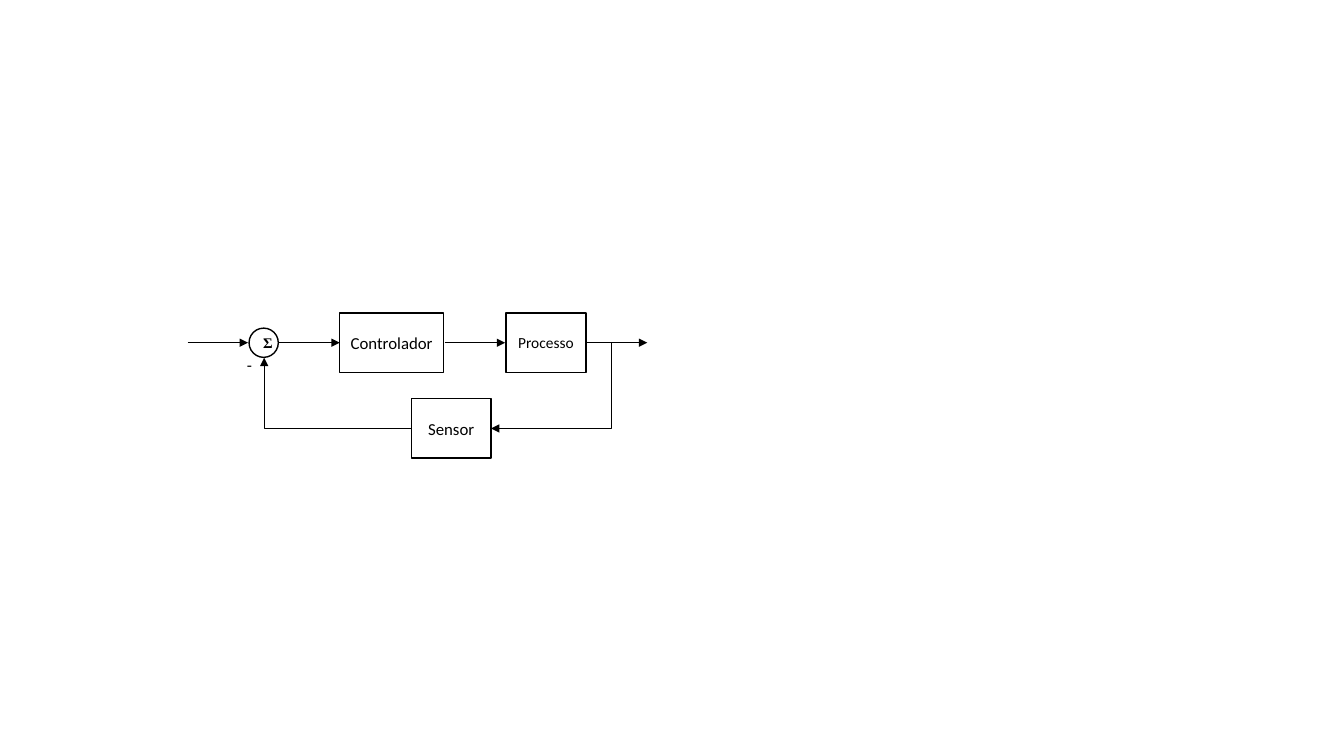
from lxml import etree
from pptx import Presentation
from pptx.dml.color import RGBColor
from pptx.enum.shapes import MSO_CONNECTOR, MSO_SHAPE
from pptx.enum.text import MSO_ANCHOR, PP_ALIGN
from pptx.oxml.ns import qn
from pptx.util import Inches, Pt

COLORS = {"ink": "000000", "fill": "FFFFFF"}
INK = RGBColor.from_string(COLORS["ink"])
FILL = RGBColor.from_string(COLORS["fill"])

deck = Presentation()
deck.slide_width, deck.slide_height = Inches(13.33), Inches(7.5)
slide = deck.slides.add_slide(deck.slide_layouts[6])


def label(shape, text, size, face="Calibri", bold=False):
    para = shape.text_frame.paragraphs[0]
    para.text = text
    para.alignment = PP_ALIGN.CENTER
    para.font.size = Pt(size)
    para.font.name = face
    para.font.bold = bold
    para.font.color.rgb = INK


def arrow(kind, *ends):
    line = slide.shapes.add_connector(kind, *[Inches(end) for end in ends])
    line.line.color.rgb = INK
    line.line.width = Pt(0.5)
    props = line._element.spPr
    etree.SubElement(props.find(qn("a:ln")), qn("a:tailEnd"), type="triangle")
    etree.SubElement(props, qn("a:effectLst"))
    return props


BOX, SUM = MSO_SHAPE.FLOWCHART_PROCESS, MSO_SHAPE.FLOWCHART_CONNECTOR
TOP, LOW = 3.4, 4.25
blocks = [
    (BOX, "Controlador", 3.37, TOP, 1.03, 0.59, 12, "Calibri", False),
    (SUM, "Σ", 2.47, TOP, 0.29, 0.29, 10.5, "Times New Roman", True),
    (BOX, "Processo", 5.02, TOP, 0.79, 0.59, 11, "Calibri", False),
    (BOX, "Sensor", 4.08, LOW, 0.79, 0.59, 12, "Calibri", False),
]
for kind, text, left, mid, width, height, size, face, bold in blocks:
    block = slide.shapes.add_shape(
        kind, Inches(left), Inches(mid - height / 2), Inches(width), Inches(height)
    )
    block.shadow.inherit = False
    block.fill.solid()
    block.fill.fore_color.rgb = FILL
    block.line.color.rgb = INK
    block.line.width = Pt(1)
    block.text_frame.vertical_anchor = MSO_ANCHOR.MIDDLE
    label(block, text, size, face, bold)

for start, end in [(1.86, 2.46), (2.76, 3.37), (4.41, 5.01), (5.81, 6.42)]:
    arrow(MSO_CONNECTOR.STRAIGHT, start, TOP, end, TOP)

back = arrow(MSO_CONNECTOR.ELBOW, 2.62, 3.55, 4.08, LOW)
back.find(qn("a:prstGeom")).set("prst", "bentConnector2")
tap = arrow(MSO_CONNECTOR.ELBOW, 4.87, LOW, 6.04, TOP)
guides = tap.find(qn("a:prstGeom")).find(qn("a:avLst"))
etree.SubElement(guides, qn("a:gd"), name="adj1", fmla="val -1900")
for props in (back, tap):
    props.find(qn("a:xfrm")).set("rot", "10800000")

minus = slide.shapes.add_textbox(Inches(2.33), Inches(3.47), Inches(0.29), Inches(0.3))
minus.text_frame.word_wrap = True
label(minus, "-", 12)

deck.save("out.pptx")
